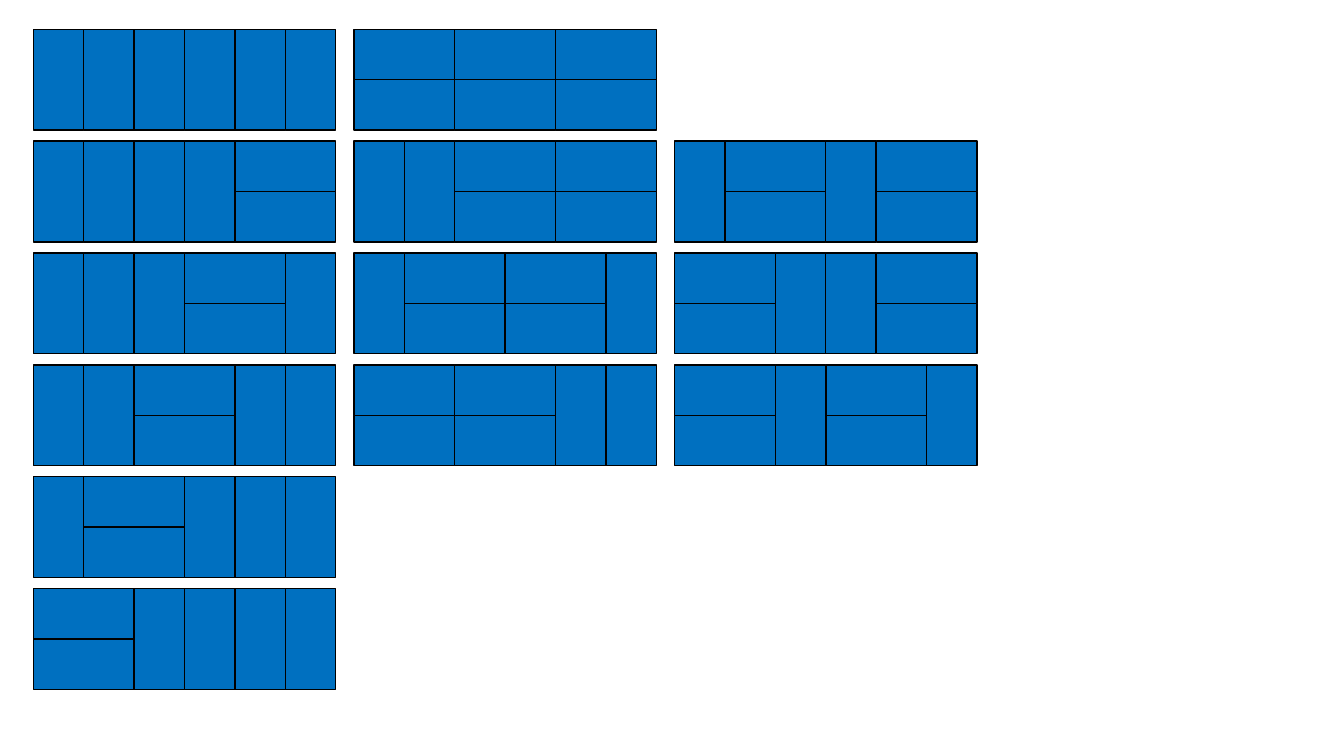
from dataclasses import dataclass

from pptx import Presentation
from pptx import util as u
from pptx.dml import color
from pptx.enum import shapes


@dataclass(frozen=True)
class Theme:
    """Colours and line weight of the tiles."""
    fill: color.RGBColor = color.RGBColor(0x00, 0x70, 0xC0)
    edge: color.RGBColor = color.RGBColor(0x00, 0x00, 0x00)
    weight: u.Pt = u.Pt(1)


@dataclass(frozen=True)
class Grid:
    """Origin, pitch and tile size of the board grid, in inches."""
    left: float = 0.33
    top: float = 0.29
    col: float = 3.18
    row: float = 1.11
    short: float = 0.5
    long: float = 1.0


class Board:
    """Draws domino tilings on one slide with one style."""

    def __init__(self, slide, theme, grid):
        self.slide, self.theme, self.grid = slide, theme, grid

    def tile(self, group, x, y, flat=False):
        """Add one domino centred at x, y."""
        g = self.grid
        shape = group.shapes.add_shape(
            shapes.MSO_SHAPE.RECTANGLE,
            u.Inches(x - g.short / 2), u.Inches(y - g.long / 2),
            u.Inches(g.short), u.Inches(g.long))
        shape.rotation = 90 if flat else 0
        shape.shadow.inherit = False
        shape.fill.solid()
        shape.fill.fore_color.rgb = self.theme.fill
        shape.line.color.rgb = self.theme.edge
        shape.line.width = self.theme.weight

    def tiling(self, col, row, code):
        """Add one grouped tiling: V is an upright tile, H a flat pair."""
        g = self.grid
        group = self.slide.shapes.add_group_shape()
        x = g.left + col * g.col
        mid = g.top + row * g.row + g.long / 2
        for kind in code:
            if kind == "V":
                self.tile(group, x + g.short / 2, mid)
                x += g.short
            else:
                for side in (-1, 1):
                    self.tile(group, x + g.long / 2, mid + side * g.short / 2, True)
                x += g.long


TILINGS = (
    (0, ("VVVVVV", "VVVVH", "VVVHV", "VVHVV", "VHVVV", "HVVVV")),
    (0, ("HHH", "VVHH", "VHHV", "HHVV")),
    (1, ("VHVH", "HVVH", "HVHV")),
)


def main():
    """Build the slide and save it."""
    deck = Presentation()
    deck.slide_width, deck.slide_height = u.Inches(13.33), u.Inches(7.5)
    board = Board(deck.slides.add_slide(deck.slide_layouts[6]), Theme(), Grid())
    for col, (first, codes) in enumerate(TILINGS):
        for row, code in enumerate(codes, first):
            board.tiling(col, row, code)
    deck.save("out.pptx")


if __name__ == "__main__":
    main()
